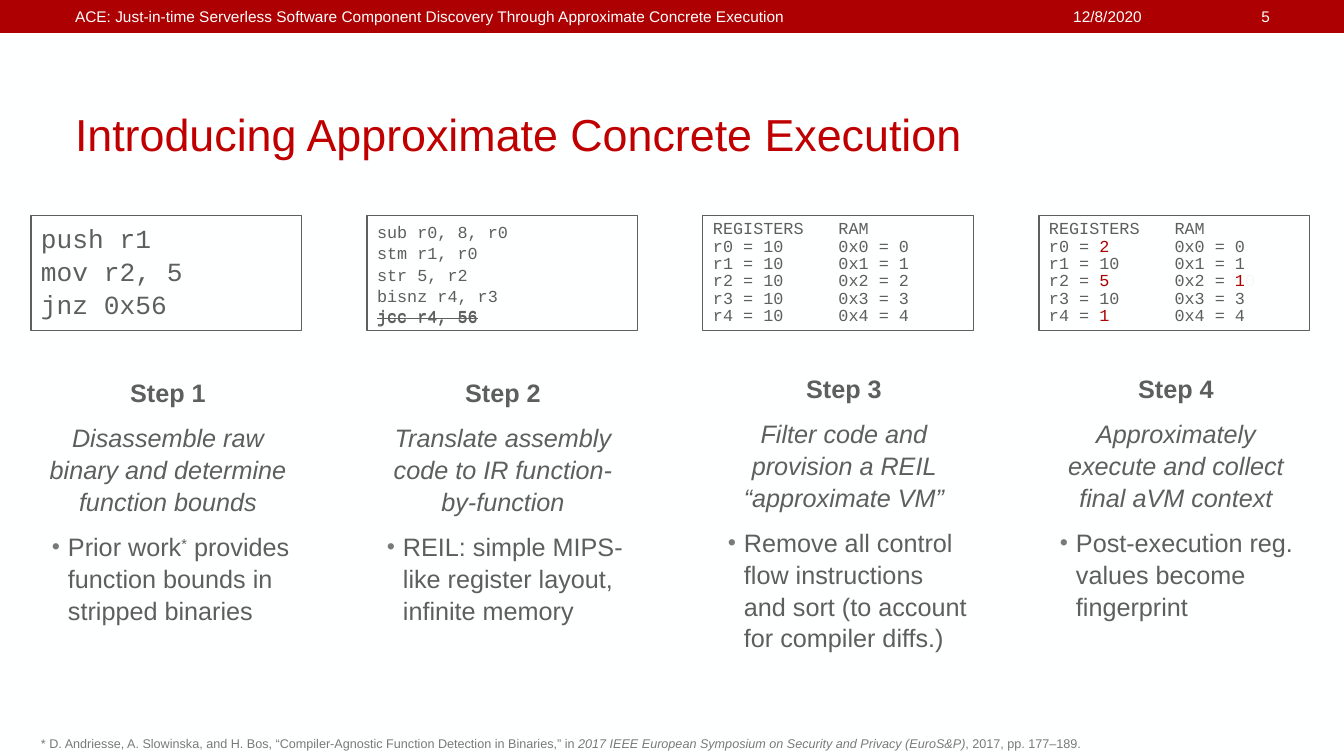
from lxml import etree
from pptx import Presentation
from pptx.dml.color import RGBColor
from pptx.enum.shapes import MSO_SHAPE
from pptx.enum.text import MSO_ANCHOR, PP_ALIGN
from pptx.oxml.ns import qn
from pptx.util import Emu, Pt


class Theme:
    background = "FEFFFF"
    band = "AD0002"
    title = "C00000"
    text = "5E5E5E"
    muted = "797979"
    faint = "F9F8F8"
    sans = "Arial"
    mono = "Courier New"
    title_size, body_size, header_size, note_size = 32, 18, 11, 9
    code_sizes = (18.7, 12, 12, 12)
    code_pitch = 12.4
    leading = 1.05


BOLD, ITALIC = {"bold": True}, {"italic": True}
CHANGED, FAINT = {"color": Theme.band}, {"color": Theme.faint}
STRUCK, SUPER = {"strike": "sngStrike"}, {"baseline": "30000"}

# A line is a list of (text, style) runs, or a plain string.
HEADERS = [
    ("ACE: Just-in-time Serverless Software Component Discovery "
     "Through Approximate Concrete Execution", (65, 2, 762, 40), PP_ALIGN.LEFT),
    ("12/8/2020", (839, 2, 313, 40), PP_ALIGN.RIGHT),
    ("5", (1164, 2, 116, 40), PP_ALIGN.RIGHT),
]
TITLE = "Introducing Approximate Concrete Execution"
STEPS = [
    ("Step 1", "Disassemble raw binary and determine function bounds",
     [("Prior work", {}), ("*", SUPER),
      (" provides function bounds in stripped binaries", {})],
     (33, 371, 270, 268)),
    ("Step 2", "Translate assembly code to IR function-by-function",
     "REIL: simple MIPS-like register layout, infinite memory",
     (368, 371, 270, 268)),
    ("Step 3", "Filter code and provision a REIL “approximate VM”",
     "Remove all control flow instructions and sort (to account for compiler diffs.)",
     (709, 367, 270, 289)),
    ("Step 4", "Approximately execute and collect final aVM context",
     "Post-execution reg. values become fingerprint",
     (1041, 367, 270, 273)),
]
REMOVED_JUMP = "jcc r4, 56"
LISTINGS = [
    ["push r1", "mov r2, 5", "jnz 0x56"],
    ["sub r0, 8, r0", "stm r1, r0", "str 5, r2", "bisnz r4, r3", REMOVED_JUMP],
    ["REGISTERS", "r0 = 10", "r1 = 10", "r2 = 10", "r3 = 10", "r4 = 10",
     "RAM", "0x0 = 0", "0x1 = 1", "0x2 = 2", "0x3 = 3", "0x4 = 4"],
    ["REGISTERS", [("r0 = ", {}), ("2", CHANGED)], "r1 = 10",
     [("r2 = ", {}), ("5", CHANGED)], "r3 = 10", [("r4 = ", {}), ("1", CHANGED)],
     "RAM", "0x0 = 0", "0x1 = 1",
     [("0x2 = ", {}), ("1", CHANGED), ("0", FAINT)], "0x3 = 3", "0x4 = 4"],
]
FOOTNOTE = [
    ("* D. Andriesse, A. Slowinska, and H. Bos, “Compiler-Agnostic Function "
     "Detection in Binaries,” in ", {}),
    ("2017 IEEE European Symposium on Security and Privacy (EuroS&P)", ITALIC),
    (", 2017, pp. 177–189.", {}),
]

CODE_LEFT, CODE_TOP, CODE_STEP, CODE_WIDTH, CODE_HEIGHT = 31, 216, 336, 271, 115
JUMP_HEIGHT = 35
PAD_X, PAD_Y = 10, 5
TWO_COLUMN_LINES = 12


def px(value):
    return Emu(round(value * 914400 / 100.8))


def prepare_frame(shape, anchor=MSO_ANCHOR.TOP):
    frame = shape.text_frame
    frame.word_wrap = True
    frame.vertical_anchor = anchor
    frame.margin_left = frame.margin_right = px(PAD_X)
    frame.margin_top = frame.margin_bottom = px(PAD_Y)
    return frame


def add_text_frame(slide, box, anchor=MSO_ANCHOR.TOP):
    return prepare_frame(slide.shapes.add_textbox(*map(px, box)), anchor)


def add_line(frame, line, size, font=Theme.sans, color=Theme.text,
             align=PP_ALIGN.LEFT, base=None, spacing=None):
    first = frame.paragraphs[0]
    paragraph = frame.add_paragraph() if first.runs else first
    paragraph.alignment = align
    if spacing:
        paragraph.line_spacing = spacing
    for text, own_style in [(line, {})] if isinstance(line, str) else line:
        style = {**(base or {}), **own_style}
        run = paragraph.add_run()
        run.text = text
        run.font.name = font
        run.font.size = Pt(size)
        run.font.bold = style.get("bold", False)
        run.font.italic = style.get("italic", False)
        run.font.color.rgb = RGBColor.from_string(style.get("color", color))
        for name in ("strike", "baseline"):
            if name in style:
                run.font._element.set(name, style[name])
    return paragraph


def add_bullet(paragraph):
    properties = paragraph._p.get_or_add_pPr()
    properties.set("marL", str(px(25)))
    properties.set("indent", str(px(-16)))
    bullet_color = etree.SubElement(properties, qn("a:buClr"))
    etree.SubElement(bullet_color, qn("a:srgbClr"), val=Theme.muted)
    etree.SubElement(properties, qn("a:buSzPct"), val="92000")
    etree.SubElement(properties, qn("a:buFont"), typeface=Theme.sans)
    etree.SubElement(properties, qn("a:buChar"), char="•")


def add_rectangle(slide, box):
    shape = slide.shapes.add_shape(MSO_SHAPE.RECTANGLE, *map(px, box))
    shape.shadow.inherit = False
    return shape


def add_header(slide):
    band = add_rectangle(slide, (0, 0, 1344, 33))
    band.fill.solid()
    band.fill.fore_color.rgb = RGBColor.from_string(Theme.band)
    band.line.fill.background()
    for text, box, align in HEADERS:
        add_line(add_text_frame(slide, box), text, Theme.header_size,
                 color=Theme.background, align=align)


def add_step(slide, name, summary, detail, box):
    frame = add_text_frame(slide, box)
    rows = [(name, BOLD, PP_ALIGN.CENTER), (summary, ITALIC, PP_ALIGN.CENTER),
            (detail, {}, PP_ALIGN.LEFT)]
    for index, (line, base, align) in enumerate(rows):
        paragraph = add_line(frame, line, Theme.body_size, align=align, base=base)
        if line is detail:
            add_bullet(paragraph)
        paragraph.line_spacing = Theme.leading
        paragraph.space_before = Pt(3.6 if index else 0)
        paragraph.space_after = Pt(6)


def add_listing(slide, left, lines, size):
    shape = add_rectangle(slide, (left, CODE_TOP, CODE_WIDTH, CODE_HEIGHT))
    shape.fill.background()
    shape.line.color.rgb = RGBColor.from_string(Theme.text)
    shape.line.width = Pt(0.75)
    frame = prepare_frame(shape)
    spacing = Theme.leading
    if len(lines) == TWO_COLUMN_LINES:
        spacing = Pt(Theme.code_pitch)
        frame._txBody.bodyPr.set("numCol", "2")
    for line in lines:
        add_line(frame, line, size, Theme.mono, spacing=spacing)


def main():
    presentation = Presentation()
    presentation.slide_width, presentation.slide_height = px(1344), px(756)
    slide = presentation.slides.add_slide(presentation.slide_layouts[6])
    slide.background.fill.solid()
    slide.background.fill.fore_color.rgb = RGBColor.from_string(Theme.background)

    add_header(slide)
    for step in STEPS:
        add_step(slide, *step)
    lefts = [CODE_LEFT + CODE_STEP * index for index in range(len(LISTINGS))]
    for left, lines, size in zip(lefts, LISTINGS, Theme.code_sizes):
        add_listing(slide, left, lines, size)

    jump_top = CODE_TOP + CODE_HEIGHT - JUMP_HEIGHT
    jump = add_text_frame(slide, (lefts[1], jump_top, CODE_WIDTH, JUMP_HEIGHT),
                          MSO_ANCHOR.BOTTOM)
    add_line(jump, REMOVED_JUMP, Theme.code_sizes[1], Theme.mono, base=STRUCK,
             spacing=Theme.leading)

    title = add_text_frame(slide, (65, 56, 1216, 109), MSO_ANCHOR.BOTTOM)
    add_line(title, TITLE, Theme.title_size, color=Theme.title)
    footnote = add_text_frame(slide, (31, 731, 1079, 25))
    add_line(footnote, FOOTNOTE, Theme.note_size, color=Theme.muted)
    presentation.save("out.pptx")


if __name__ == "__main__":
    main()
